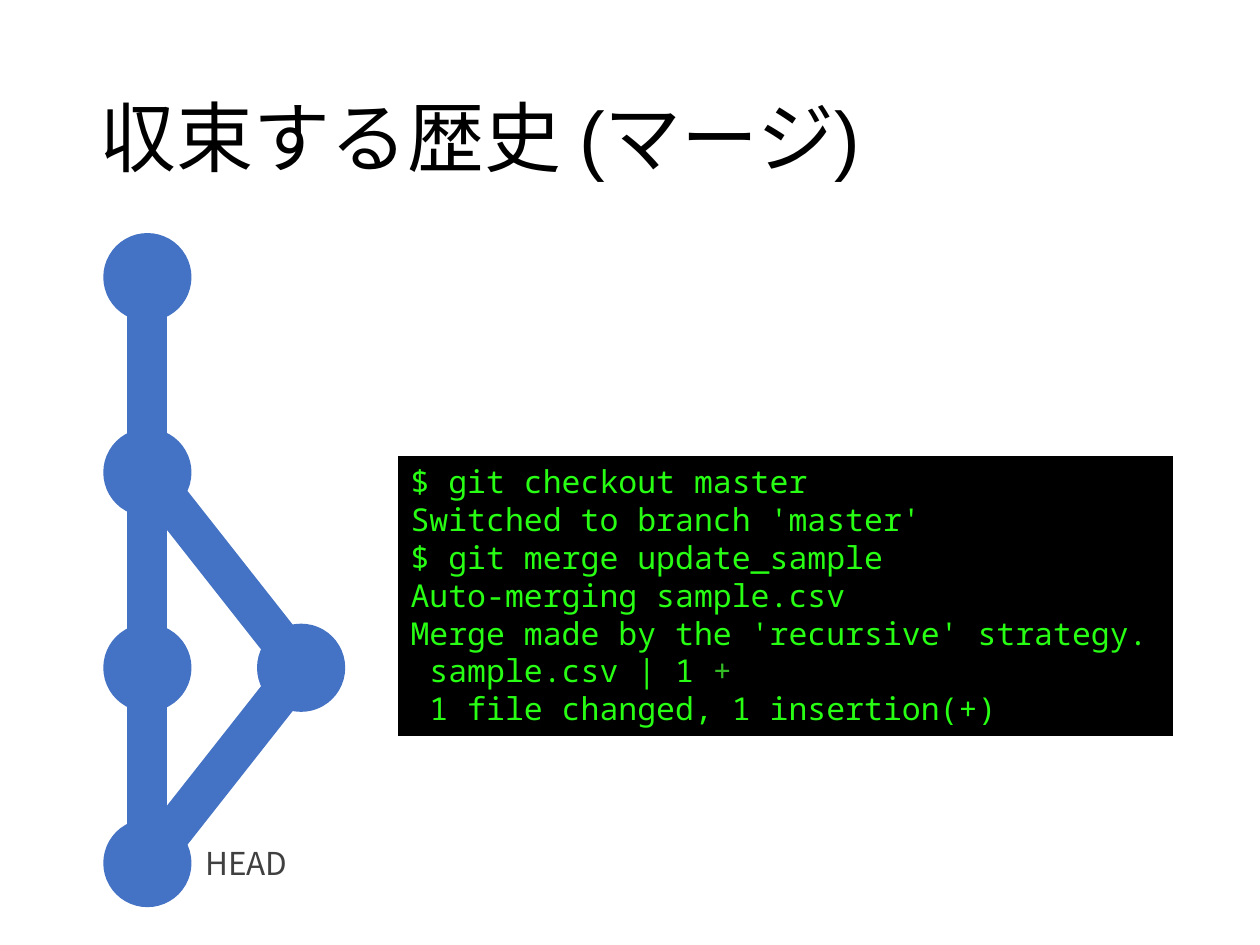
import pptx
import pptx.dml.color
import pptx.enum.shapes
import pptx.enum.text
import pptx.oxml.ns
import pptx.util
from lxml import etree
from pptx.util import Inches

BLUE = "4472C4"
GREEN = "28FE14"
DIAMETER = 0.7
ROW_STEP = 1.55
MAIN_X, BRANCH_X = 1.17, 2.39
FIRST_Y = 2.2


def color(hex_text):
    return pptx.dml.color.RGBColor.from_string(hex_text)


def commit_center(x, row):
    return x, FIRST_Y + row * ROW_STEP


class SlideBuilder:
    def __init__(self, presentation):
        self.slide = presentation.slides.add_slide(presentation.slide_layouts[5])

    def style(self, paragraph, font_name, size, hex_text):
        paragraph.alignment = pptx.enum.text.PP_ALIGN.LEFT
        paragraph.font.name = font_name
        paragraph.font.size = pptx.util.Pt(size)
        paragraph.font.color.rgb = color(hex_text)

    def title(self, text, left, top, width, height):
        shape = self.slide.shapes.title
        shape.left, shape.top = Inches(left), Inches(top)
        shape.width, shape.height = Inches(width), Inches(height)
        frame = shape.text_frame
        frame.text = text
        frame.auto_size = pptx.enum.text.MSO_AUTO_SIZE.NONE
        frame.vertical_anchor = pptx.enum.text.MSO_ANCHOR.MIDDLE
        paragraph = frame.paragraphs[0]
        self.style(paragraph, "Arial", 44, "000000")
        paragraph.line_spacing = 0.9

    def label(self, text, left, top, width, height):
        box = self.slide.shapes.add_textbox(
            Inches(left), Inches(top), Inches(width), Inches(height))
        box.text_frame.word_wrap = False
        box.text_frame.text = text
        self.style(box.text_frame.paragraphs[0], "Noto Sans CJK JP", 18, "404040")

    def filled_shape(self, kind, left, top, width, height, hex_text):
        shape = self.slide.shapes.add_shape(
            kind, Inches(left), Inches(top), Inches(width), Inches(height))
        shape.shadow.inherit = False
        shape.fill.solid()
        shape.fill.fore_color.rgb = color(hex_text)
        shape.line.fill.background()
        return shape

    def commit(self, center):
        x, y = center
        self.filled_shape(pptx.enum.shapes.MSO_SHAPE.OVAL, x - DIAMETER / 2,
                          y - DIAMETER / 2, DIAMETER, DIAMETER, BLUE)

    def edge(self, start, end):
        connector = self.slide.shapes.add_connector(
            pptx.enum.shapes.MSO_CONNECTOR.STRAIGHT,
            *(Inches(value) for value in (*start, *end)))
        connector.line.color.rgb = color(BLUE)
        connector.line.width = pptx.util.Pt(23)
        etree.SubElement(connector._element.spPr, pptx.oxml.ns.qn("a:effectLst"))

    def terminal(self, lines, left, top, width, height):
        """Each line is a list of (text, colour or None) runs."""
        shape = self.filled_shape(pptx.enum.shapes.MSO_SHAPE.RECTANGLE,
                                  left, top, width, height, "000000")
        frame = shape.text_frame
        frame.word_wrap = True
        frame.vertical_anchor = pptx.enum.text.MSO_ANCHOR.TOP
        for index, runs in enumerate(lines):
            paragraph = frame.add_paragraph() if index else frame.paragraphs[0]
            self.style(paragraph, "Noto Sans Mono", 18, GREEN)
            for text, run_color in runs:
                run = paragraph.add_run()
                run.text = text
                if run_color:
                    run.font.color.rgb = color(run_color)


def main():
    presentation = pptx.Presentation()
    presentation.slide_width, presentation.slide_height = Inches(10), Inches(7.5)
    builder = SlideBuilder(presentation)
    builder.title("収束する歴史 (マージ)", 0.69, 0.4, 8.62, 1.45)
    builder.label("HEAD", 1.53, 6.65, 0.91, 0.4)

    main_commits = [commit_center(MAIN_X, row) for row in range(4)]
    branch_commit = commit_center(BRANCH_X, 2)
    builder.edge(main_commits[0], main_commits[-1])
    for center in [*main_commits, branch_commit]:
        builder.commit(center)
    for joint in (main_commits[1], main_commits[3]):
        builder.edge(joint, branch_commit)

    builder.terminal([
        [("$ git checkout master", None)],
        [("Switched to branch 'master'", None)],
        [("$ git merge update_sample", None)],
        [("Auto-merging sample.csv", None)],
        [("Merge made by the 'recursive' strategy.", None)],
        [(" sample.csv | 1 ", None), ("+", "34BC26")],
        [(" 1 file changed, 1 insertion(+)", None)],
    ], 3.16, 3.62, 6.15, 2.22)
    presentation.save("out.pptx")


if __name__ == "__main__":
    main()
